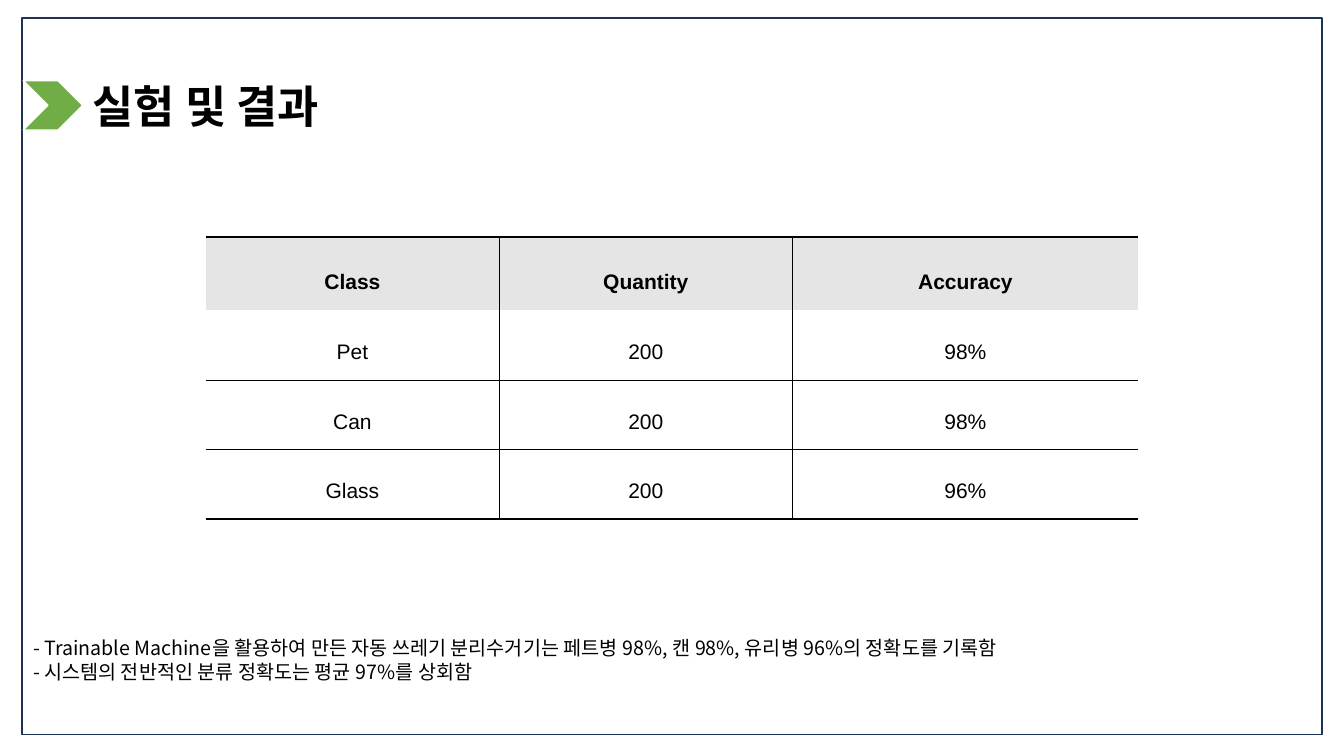
"""Builds the results slide: a framed title, an accuracy table and two notes."""
from typing import Any, NamedTuple

from lxml.etree import SubElement
from pptx import Presentation
from pptx.dml.color import RGBColor
from pptx.enum.shapes import MSO_SHAPE as Shape
from pptx.enum.text import MSO_ANCHOR as Anchor, MSO_AUTO_SIZE as AutoSize, PP_ALIGN as Align
from pptx.oxml.ns import qn
from pptx.util import Emu, Inches, Pt

COLS, ROWS = 1333, 750
UNIT = Inches(7.5) // ROWS
BLACK, WHITE, NAVY, GREEN, GREY = "000000", "FFFFFF", "1E3256", "70AD47", "E5E5E5"
THICK, THIN = 1.7, 0.28


class Box(NamedTuple):
    col: int
    row: int
    width: int
    height: int


class Block(NamedTuple):
    kind: Shape
    box: Box
    fill: str
    line: str


class Label(NamedTuple):
    box: Box
    lines: list[str]
    style: dict[str, Any]


BLOCKS = [
    Block(Shape.RECTANGLE, Box(22, 18, 1289, 711), WHITE, NAVY),
    Block(Shape.CHEVRON, Box(23, 80, 59, 49), GREEN, WHITE),
]
LABELS = [
    Label(Box(82, 73, 280, 64), ["실험 및 결과"], {"size": 32, "bold": True}),
    Label(
        Box(23, 626, 1288, 57),
        [
            "- Trainable Machine을 활용하여 만든 자동 쓰레기 분리수거기는 "
            "페트병 98%, 캔 98%, 유리병 96%의 정확도를 기록함",
            "- 시스템의 전반적인 분류 정확도는 평균 97%를 상회함",
        ],
        {"size": 14, "font": "Noto Sans CJK KR"},
    ),
]
TABLE_BOX = Box(204, 235, 925, 280)
COL_WIDTHS = [291, 291, 343]
ROW_HEIGHTS = [73, 69, 69, 69]
RESULTS = [
    ("Class", "Quantity", "Accuracy"),
    ("Pet", "200", "98%"),
    ("Can", "200", "98%"),
    ("Glass", "200", "96%"),
]


def grid(n: float) -> Emu:
    return Emu(round(n * UNIT))


def place(box: Box) -> list[Emu]:
    return [grid(n) for n in box]


def color(value: str) -> RGBColor:
    return RGBColor.from_string(value)


def write(p, text: str, *, size: float, font: str = "Arial", bold: bool = False,
          align=Align.LEFT, spacing: float = 1.0) -> None:
    p.alignment, p.line_spacing = align, spacing
    r = p.add_run()
    r.text = text
    r.font.name, r.font.size, r.font.bold = font, Pt(size), bold
    r.font.color.rgb = color(BLACK)


def add_block(s, block: Block) -> None:
    sp = s.shapes.add_shape(block.kind, *place(block.box))
    sp.shadow.inherit = False
    sp.fill.solid()
    sp.fill.fore_color.rgb = color(block.fill)
    sp.line.color.rgb = color(block.line)
    sp.line.width = Pt(1)


def add_label(s, label: Label) -> None:
    tf = s.shapes.add_textbox(*place(label.box)).text_frame
    tf.word_wrap = True
    tf.auto_size = AutoSize.SHAPE_TO_FIT_TEXT
    for i, text in enumerate(label.lines):
        write(tf.add_paragraph() if i else tf.paragraphs[0], text, **label.style)


def set_borders(cell, widths: dict[str, float]) -> None:
    tc_pr = cell._tc.get_or_add_tcPr()
    for i, (side, width) in enumerate(widths.items()):
        ln = SubElement(tc_pr, qn(f"a:ln{side}"), w=str(Pt(width)))
        if width:
            SubElement(SubElement(ln, qn("a:solidFill")), qn("a:srgbClr"), val=BLACK)
        else:
            SubElement(ln, qn("a:noFill"))
        tc_pr.insert(i, ln)


def edge_widths(row: int, col: int) -> dict[str, float]:
    last_row, last_col = len(RESULTS) - 1, len(COL_WIDTHS) - 1
    return {
        "L": THIN if col > 0 else 0,
        "R": THIN if col < last_col else 0,
        "T": (THICK, 0)[row] if row < 2 else THIN,
        "B": THICK if row == last_row else THIN if row else 0,
    }


def add_results(s) -> None:
    table = s.shapes.add_table(len(RESULTS), len(COL_WIDTHS), *place(TABLE_BOX)).table
    table.first_row = table.horz_banding = False
    for column, width in zip(table.columns, COL_WIDTHS):
        column.width = grid(width)
    for i, (height, values) in enumerate(zip(ROW_HEIGHTS, RESULTS)):
        table.rows[i].height = grid(height)
        header = i == 0
        for j, value in enumerate(values):
            cell = table.cell(i, j)
            cell.vertical_anchor = Anchor.MIDDLE
            cell.margin_left = cell.margin_right = grid(2)
            cell.margin_top = cell.margin_bottom = grid(2)
            if header:
                cell.fill.solid()
                cell.fill.fore_color.rgb = color(GREY)
            else:
                cell.fill.background()
            set_borders(cell, edge_widths(i, j))
            write(cell.text_frame.paragraphs[0], value, size=15, bold=header,
                  align=Align.CENTER, spacing=1.7 if header else 1.6)


def main() -> None:
    prs = Presentation()
    prs.slide_width, prs.slide_height = grid(COLS), grid(ROWS)
    s = prs.slides.add_slide(prs.slide_layouts[6])
    for block in BLOCKS:
        add_block(s, block)
    add_results(s)
    for label in LABELS:
        add_label(s, label)
    prs.save("out.pptx")


if __name__ == "__main__":
    main()
